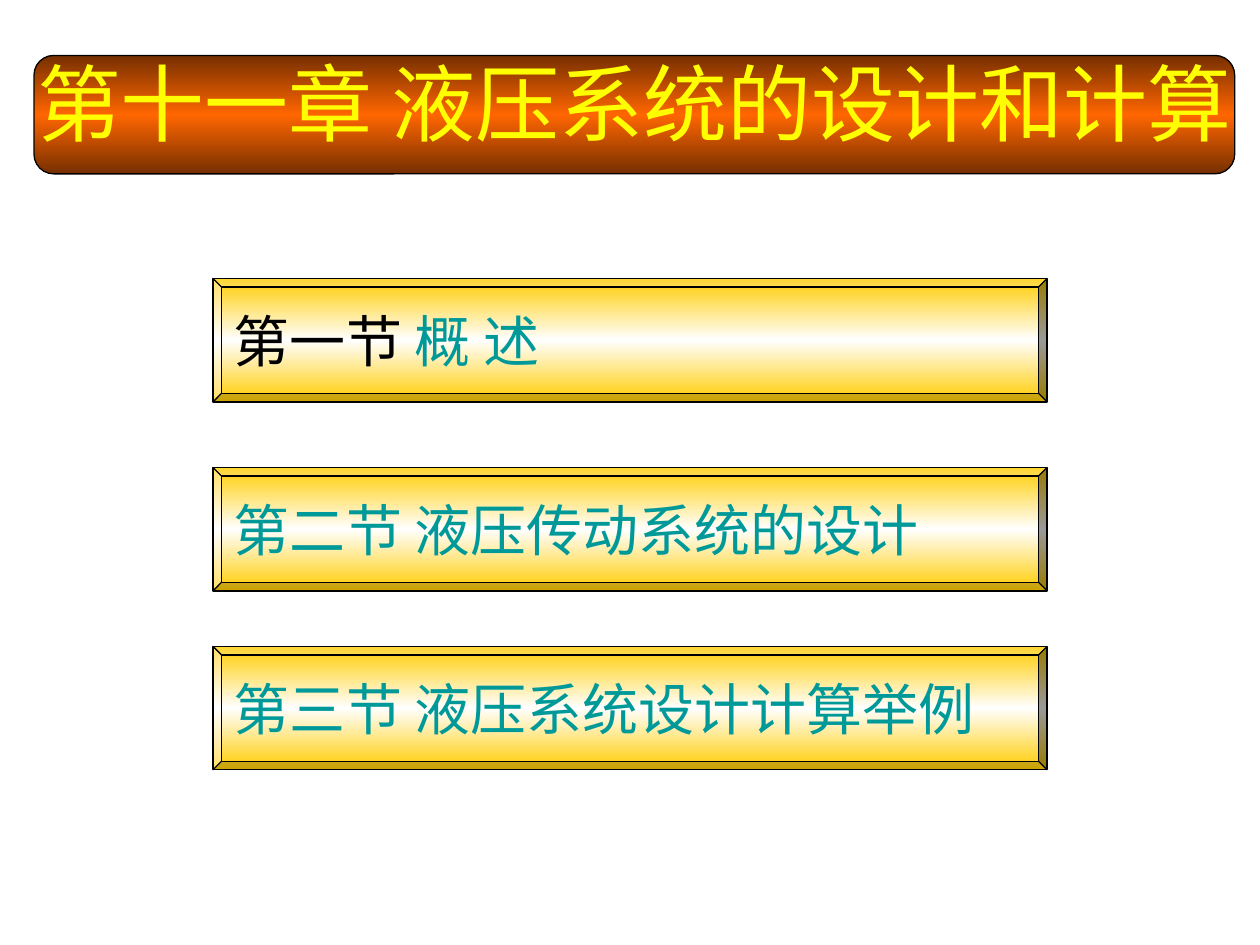
from copy import deepcopy

from lxml.etree import SubElement
from pptx import Presentation
from pptx.dml.color import RGBColor
from pptx.enum.shapes import MSO_SHAPE
from pptx.enum.text import MSO_ANCHOR, MSO_AUTO_SIZE, PP_ALIGN
from pptx.oxml.ns import qn
from pptx.util import Inches, Pt

BLACK = RGBColor(0x00, 0x00, 0x00)
WHITE = RGBColor(0xFF, 0xFF, 0xFF)
YELLOW = RGBColor(0xFF, 0xFF, 0x00)
TEAL = RGBColor(0x00, 0x99, 0x99)
GOLD = RGBColor(0xFF, 0xCC, 0x00)
ORANGE = RGBColor(0xFF, 0x66, 0x00)
BROWN = RGBColor(0x76, 0x2F, 0x00)

CHINESE_FONT = "Noto Sans CJK SC"
BANNER_LEFT, BANNER_TOP, BANNER_WIDTH, BANNER_HEIGHT = 0.27, 0.44, 9.53, 0.94
TITLE_OVERHANG = 0.15
SECTION_LEFT, SECTION_WIDTH, SECTION_HEIGHT = 1.69, 6.62, 0.98
SECTIONS = [
    (2.21, [("第一节 ", BLACK), ("概 述", TEAL)]),
    (3.71, [("第二节 液压传动系统的设计", TEAL)]),
    (5.13, [("第三节 液压系统设计计算举例", TEAL)]),
]


def add_panel(slide, preset, box, edge, middle):
    """Add a preset shape with a mirrored vertical gradient and black outline."""
    panel = slide.shapes.add_shape(preset, *map(Inches, box))
    panel.shadow.inherit = False
    panel.fill.gradient()
    panel.fill.gradient_angle = 270
    stop_list = panel._element.spPr.find(".//" + qn("a:gsLst"))
    stop_list.insert(1, deepcopy(stop_list[0]))
    stops = zip(panel.fill.gradient_stops, (0, 0.5, 1), (edge, middle, edge))
    for stop, position, color in stops:
        stop.position = position
        stop.color.rgb = color
    panel.line.color.rgb = BLACK
    panel.line.width = Pt(0.75)
    return panel


def prepare_text(shape, size, alignment):
    """Set up the single unwrapped paragraph of a shape and return it."""
    frame = shape.text_frame
    frame.word_wrap = False
    frame.auto_size = MSO_AUTO_SIZE.NONE
    frame.vertical_anchor = MSO_ANCHOR.MIDDLE
    paragraph = frame.paragraphs[0]
    paragraph.alignment = alignment
    paragraph.font.size = Pt(size)
    return paragraph


def add_run(paragraph, text, color, latin_font=CHINESE_FONT):
    """Append a coloured run with Latin and East Asian fonts."""
    run = paragraph.add_run()
    run.text = text
    run.font.color.rgb = color
    run.font.name = latin_font
    SubElement(run.font._element, qn("a:ea"), typeface=CHINESE_FONT)


def add_title(slide):
    """Lay the chapter title over a rounded banner."""
    box = (BANNER_LEFT, BANNER_TOP, BANNER_WIDTH, BANNER_HEIGHT)
    banner = add_panel(slide, MSO_SHAPE.ROUNDED_RECTANGLE, box, BROWN, ORANGE)
    title = slide.shapes.title
    banner._element.addnext(title._element)
    title.left = Inches(BANNER_LEFT - TITLE_OVERHANG)
    title.width = Inches(BANNER_WIDTH + 2 * TITLE_OVERHANG)
    title.top, title.height = banner.top, banner.height
    title.text_frame.margin_left = title.text_frame.margin_right = 0
    paragraph = prepare_text(title, 48, PP_ALIGN.CENTER)
    paragraph.line_spacing = 0.7
    add_run(paragraph, "第十一章 ", YELLOW, "Arial")
    add_run(paragraph, "液压系统的设计和计算", YELLOW)


def add_section(slide, top, runs):
    """Add a bevelled gold bar naming one section."""
    box = (SECTION_LEFT, top, SECTION_WIDTH, SECTION_HEIGHT)
    bar = add_panel(slide, MSO_SHAPE.BEVEL, box, GOLD, WHITE)
    bar.adjustments[0] = 0.07
    paragraph = prepare_text(bar, 32, PP_ALIGN.LEFT)
    for text, color in runs:
        add_run(paragraph, text, color)


def main():
    """Build the chapter contents slide."""
    presentation = Presentation()
    presentation.slide_width, presentation.slide_height = Inches(10), Inches(7.5)
    slide = presentation.slides.add_slide(presentation.slide_layouts[5])
    add_title(slide)
    for top, runs in SECTIONS:
        add_section(slide, top, runs)
    presentation.save("out.pptx")


if __name__ == "__main__":
    main()
